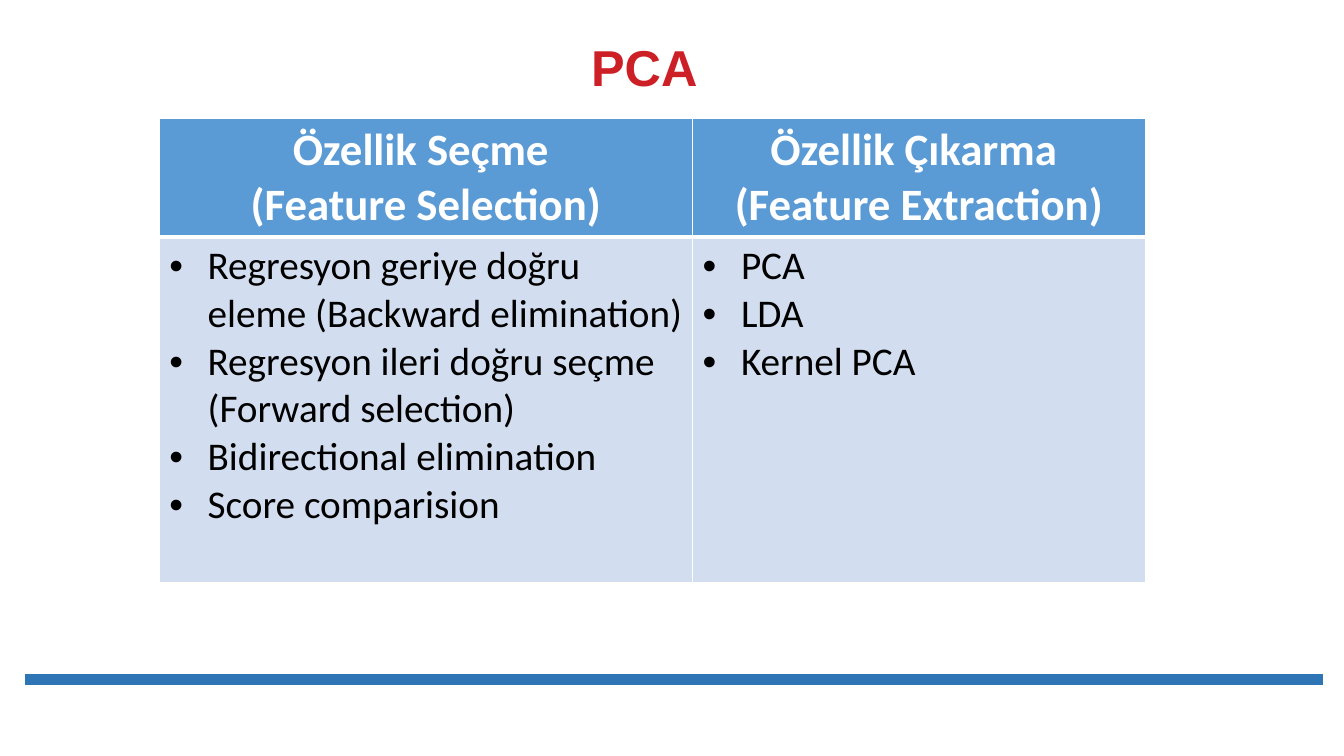
from lxml import etree
from pptx import Presentation
from pptx.dml.color import RGBColor
from pptx.enum.shapes import MSO_CONNECTOR
from pptx.enum.text import MSO_ANCHOR, MSO_AUTO_SIZE, PP_ALIGN
from pptx.oxml.ns import qn
from pptx.util import Inches, Pt

WHITE = RGBColor(0xFF, 0xFF, 0xFF)
BLACK = RGBColor(0x00, 0x00, 0x00)
RED = RGBColor(0xCD, 0x1F, 0x26)
HEADER_BLUE = RGBColor(0x5B, 0x9B, 0xD5)
BODY_BLUE = RGBColor(0xD2, 0xDE, 0xEF)
RULE_BLUE = RGBColor(0x2E, 0x75, 0xB6)

COLUMNS = [
    (5.29, ["Özellik Seçme ", "(Feature Selection)"],
     ["Regresyon geriye doğru eleme (Backward elimination)",
      "Regresyon ileri doğru seçme (Forward selection)",
      "Bidirectional elimination",
      "Score comparision"]),
    (4.49, ["Özellik Çıkarma ", "(Feature Extraction)"],
     ["PCA", "LDA", "Kernel PCA"]),
]
ROW_HEIGHTS = [1.18, 3.43]


def add_run(para, text, font_name, size, color, bold):
    span = para.add_run()
    span.text = text
    span.font.name = font_name
    span.font.size = Pt(size)
    span.font.color.rgb = color
    span.font.bold = bold


def style_cell(cell, fill_color, bottom_width):
    """Give the cell white borders, then its fill, in schema order."""
    properties = cell._tc.get_or_add_tcPr()
    for side, width in (("L", 1), ("R", 1), ("T", 1), ("B", bottom_width)):
        border = etree.SubElement(properties, qn(f"a:ln{side}"), w=str(Pt(width)))
        solid = etree.SubElement(border, qn("a:solidFill"))
        etree.SubElement(solid, qn("a:srgbClr"), val=str(WHITE))
    cell.fill.solid()
    cell.fill.fore_color.rgb = fill_color


deck = Presentation()
deck.slide_width = Inches(13.33)
deck.slide_height = Inches(7.5)
slide = deck.slides.add_slide(deck.slide_layouts[5])

# Bottom rule
rule = slide.shapes.add_connector(
    MSO_CONNECTOR.STRAIGHT, Inches(0.25), Inches(6.74), Inches(13.12), Inches(6.74))
rule.line.color.rgb = RULE_BLUE
rule.line.width = Pt(8)
etree.SubElement(rule._element.spPr, qn("a:effectLst"))

# Comparison table
frame = slide.shapes.add_table(
    len(ROW_HEIGHTS), len(COLUMNS), Inches(1.58), Inches(1.17),
    Inches(sum(column[0] for column in COLUMNS)), Inches(sum(ROW_HEIGHTS)))
table = frame.table
for row, height in zip(table.rows, ROW_HEIGHTS):
    row.height = Inches(height)

for index, (width, headings, methods) in enumerate(COLUMNS):
    table.columns[index].width = Inches(width)

    header = table.cell(0, index)
    style_cell(header, HEADER_BLUE, 3)
    for number, text in enumerate(headings):
        text_frame = header.text_frame
        para = text_frame.add_paragraph() if number else text_frame.paragraphs[0]
        para.alignment = PP_ALIGN.CENTER
        add_run(para, text, "Calibri", 32, WHITE, True)

    body = table.cell(1, index)
    style_cell(body, BODY_BLUE, 1)
    for number, text in enumerate(methods):
        text_frame = body.text_frame
        para = text_frame.add_paragraph() if number else text_frame.paragraphs[0]
        properties = para._p.get_or_add_pPr()
        properties.set("marL", str(Inches(0.38)))
        properties.set("indent", str(Inches(-0.38)))
        etree.SubElement(properties, qn("a:buFont"), typeface="Arial")
        etree.SubElement(properties, qn("a:buChar"), char="•")
        add_run(para, text, "Calibri", 28, BLACK, False)

# Title
title = slide.shapes.title
title.left, title.top = Inches(1.78), Inches(0.37)
title.width, title.height = Inches(9.22), Inches(0.65)
title.text_frame.word_wrap = True
title.text_frame.auto_size = MSO_AUTO_SIZE.SHAPE_TO_FIT_TEXT
title.text_frame.vertical_anchor = MSO_ANCHOR.MIDDLE
para = title.text_frame.paragraphs[0]
para.alignment = PP_ALIGN.CENTER
para.line_spacing = 0.9
add_run(para, "PCA", "Arial", 36, RED, True)

deck.save("out.pptx")
